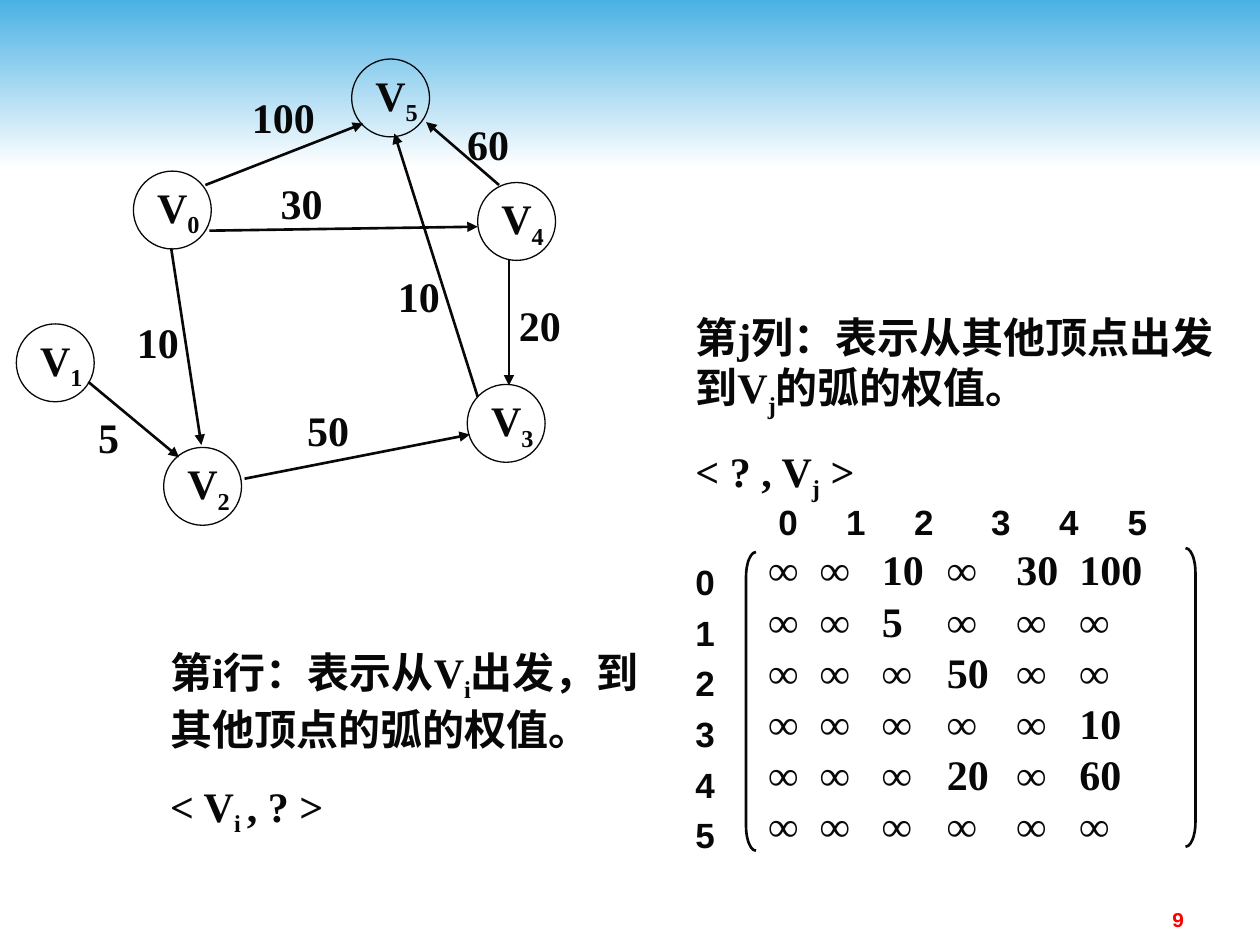
from lxml import etree
from pptx import Presentation
from pptx.dml.color import RGBColor
from pptx.enum.shapes import MSO_CONNECTOR, MSO_SHAPE
from pptx.enum.text import MSO_ANCHOR, PP_ALIGN
from pptx.oxml.ns import qn
from pptx.util import Cm, Pt

TOP, MIDDLE = MSO_ANCHOR.TOP, MSO_ANCHOR.MIDDLE
LEFT, RIGHT = PP_ALIGN.LEFT, PP_ALIGN.RIGHT
STRAIGHT = MSO_CONNECTOR.STRAIGHT
COLORS = {"ink": "080808", "sky": "4AB1E4", "white": "FFFFFF", "number": "FF0000"}
SERIF, SANS, MONO = "Times New Roman", "Arial", "Courier New"
NODE = 1.57

NODES = [(2.36, 2.26), (0, 5.34), (2.97, 7.83), (9.09, 6.56), (9.3, 2.49), (6.76, 0)]
EDGES = [
    ("5", (1.45, 6.51), (3.28, 8.03), (1.4, 6.91)),
    ("10", (3.12, 3.81), (3.73, 7.78), (2.18, 4.98)),
    ("30", (3.89, 3.46), (9.3, 3.38), (5.08, 2.19)),
    ("60", (9.73, 2.54), (8.26, 1.27), (8.84, 0.99)),
    ("100", (3.81, 2.54), (6.99, 1.3), (4.5, 0.46)),
    ("20", (9.93, 4.04), (9.93, 6.58), (9.88, 4.65)),
    ("50", (4.6, 8.46), (9.14, 7.57), (5.61, 6.76)),
    ("10", (9.3, 6.81), (7.62, 1.5), (7.44, 4.07)),
]
ROW_NOTE = [["第i行：表示从V", "i", "出发，到其他顶点的弧的权值。"], ["< V", "i ", ", ? >"]]
COLUMN_NOTE = [["第j列：表示从其他顶点出发到V", "j", "的弧的权值。"], ["< ? , V", "j", " >"]]
MATRIX = [
    "∞ ∞ 10 ∞ 30 100",
    "∞ ∞ 5 ∞ ∞ ∞",
    "∞ ∞ ∞ 50 ∞ ∞",
    "∞ ∞ ∞ ∞ ∞ 10",
    "∞ ∞ ∞ 20 ∞ 60",
    "∞ ∞ ∞ ∞ ∞ ∞",
]
HEADER_TABS = [1.37, 2.74, 4.29, 5.66, 7.04]
ROW_TABS = [1.04, 2.29, 3.6, 5, 6.27]


def rgb(name):
    """Return the named palette colour."""
    return RGBColor.from_string(COLORS[name])


def style_run(r, size=24, font=SERIF, color="ink"):
    """Format a run as bold text."""
    r.font.size, r.font.name, r.font.bold = Pt(size), font, True
    r.font.color.rgb = rgb(color)


def add_mixed(p, parts):
    """Fill a paragraph with parts that alternate between normal and subscript."""
    for i, part in enumerate(parts):
        r = p.add_run()
        r.text = part
        style_run(r)
        if i % 2:
            r.font._element.set("baseline", "-25000")


def set_tabs(p, stops):
    """Give a paragraph left tab stops, in centimetres."""
    tabs = etree.SubElement(p._p.get_or_add_pPr(), qn("a:tabLst"))
    for stop in stops:
        etree.SubElement(tabs, qn("a:tab"), pos=str(Cm(stop)), algn="l")


def add_text(s, lines, x, y, w, h, size=24, font=SERIF, color="ink",
             anchor=TOP, align=LEFT, gap=0, tabs=(), wrap=True):
    """Add a text box with one paragraph for each line."""
    tf = s.shapes.add_textbox(Cm(x), Cm(y), Cm(w), Cm(h)).text_frame
    tf.word_wrap, tf.vertical_anchor = wrap, anchor
    tf.text = "\n".join(lines)
    for i, p in enumerate(tf.paragraphs):
        p.alignment = align
        if i and gap:
            p.space_before = Pt(gap)
        if tabs:
            set_tabs(p, tabs)
        style_run(p.runs[0], size, font, color)


def add_banner(s, x, y, w, h):
    """Draw the band that fades from sky blue to white."""
    sp = s.shapes.add_shape(MSO_SHAPE.RECTANGLE, Cm(x), Cm(y), Cm(w), Cm(h))
    sp.shadow.inherit = False
    sp.line.fill.background()
    sp.fill.gradient()
    sp.fill.gradient_angle = 270
    for stop, name, position in zip(sp.fill.gradient_stops, ("sky", "white"), (0, 1)):
        stop.color.rgb, stop.position = rgb(name), position


def add_outline(s, kind, x, y, w, h, weight):
    """Add an unfilled shape with an ink outline."""
    sp = s.shapes.add_shape(kind, Cm(x), Cm(y), Cm(w), Cm(h))
    sp.shadow.inherit = False
    sp.fill.background()
    sp.line.color.rgb, sp.line.width = rgb("ink"), Pt(weight)
    return sp


def add_arrow(s, x1, y1, x2, y2):
    """Add a straight line with an arrowhead at its end."""
    line = s.shapes.add_connector(STRAIGHT, Cm(x1), Cm(y1), Cm(x2), Cm(y2))
    line.line.color.rgb, line.line.width = rgb("ink"), Pt(1.5)
    etree.SubElement(line.line._get_or_add_ln(), qn("a:tailEnd"), type="triangle")
    etree.SubElement(line._element.spPr, qn("a:effectLst"))


def add_graph(s, x, y):
    """Draw the weighted directed graph."""
    for i, (dx, dy) in enumerate(NODES):
        sp = add_outline(s, MSO_SHAPE.OVAL, x + dx, y + dy, NODE, NODE, 0.75)
        tf = sp.text_frame
        tf.word_wrap, tf.vertical_anchor = False, MIDDLE
        p = tf.paragraphs[0]
        p.alignment = LEFT
        add_mixed(p, ["V", str(i)])
    for weight, (x1, y1), (x2, y2), (dx, dy) in EDGES:
        add_text(s, [weight], x + dx, y + dy, 1.85, 1.42, anchor=MIDDLE, wrap=False)
        add_arrow(s, x + x1, y + y1, x + x2, y + y2)


def add_note(s, paragraphs, x, y, w, h):
    """Add an explanation and the arc form below it."""
    tf = s.shapes.add_textbox(Cm(x), Cm(y), Cm(w), Cm(h)).text_frame
    tf.word_wrap = True
    for i, parts in enumerate(paragraphs):
        p = tf.add_paragraph() if i else tf.paragraphs[0]
        if i:
            p.space_before = Pt(15)
        add_mixed(p, parts)


def add_matrix(s, x, y):
    """Draw the adjacency matrix with its indices and brackets."""
    indices = [str(i) for i in range(len(MATRIX))]
    add_text(s, ["\t".join(indices)], x + 1.67, y, 8.5, 1.12, 20, SANS, tabs=HEADER_TABS)
    add_text(s, indices, x, y + 1.22, 1.07, 6, 20, SANS, gap=4.9)
    for i, row in enumerate(MATRIX):
        add_text(s, ["\t".join(row.split())], x + 1.47, y + 1.06 + 1.03 * i, 8.48, 0.91,
                 anchor=MIDDLE, tabs=ROW_TABS)
    for kind, dx, dy in ((MSO_SHAPE.LEFT_BRACKET, 1.27, 1.17),
                         (MSO_SHAPE.RIGHT_BRACKET, 10.13, 1.09)):
        sp = add_outline(s, kind, x + dx, y + dy, 0.2, 6.02, 1.5)
        sp.adjustments[0] = 2.5


def main():
    """Build the slide and save it."""
    prs = Presentation()
    prs.slide_width, prs.slide_height = Cm(25.4), Cm(19.05)
    s = prs.slides.add_slide(prs.slide_layouts[6])
    add_banner(s, 0, 0, 25.4, 3.38)
    add_text(s, ["9"], 18.21, 18.16, 5.92, 0.69, 12, MONO, "number", align=RIGHT)
    add_graph(s, 0.33, 1.19)
    add_note(s, ROW_NOTE, 3.18, 12.9, 10.16, 4.11)
    add_note(s, COLUMN_NOTE, 13.77, 6.15, 11.23, 4.11)
    add_matrix(s, 13.77, 9.96)
    prs.save("out.pptx")


if __name__ == "__main__":
    main()
